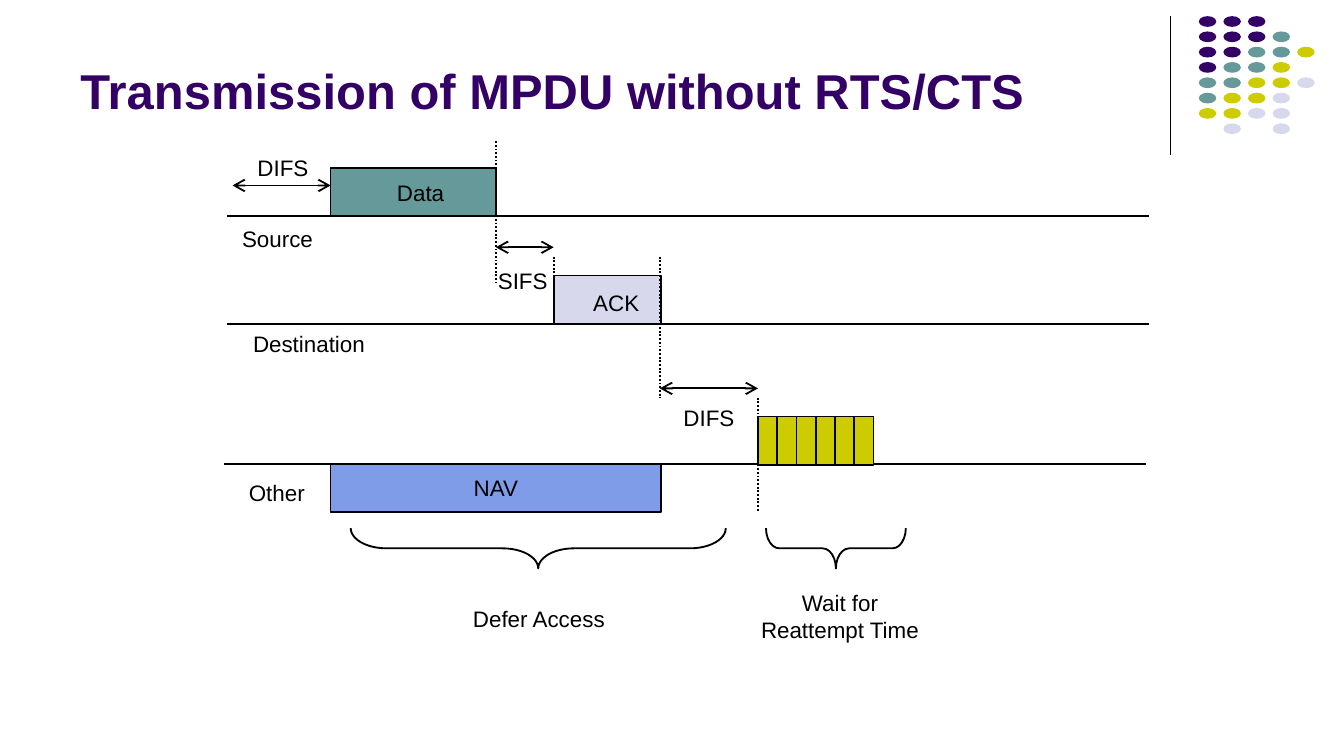
import pptx
import pptx.util
import pptx.dml.color
import pptx.enum.dml
import pptx.enum.shapes
import pptx.enum.text
import pptx.oxml.ns
import lxml.etree

Inches = pptx.util.Inches
SHAPE = pptx.enum.shapes.MSO_SHAPE
ALIGN = pptx.enum.text.PP_ALIGN
ANCHOR = pptx.enum.text.MSO_ANCHOR

SLIDE_W = 10
SLIDE_H = SLIDE_W * 9 / 16
BLACK = "000000"
PURPLE = "330066"
TEAL = "669999"
OLIVE = "CCCC00"
LAVENDER = "D8D8EC"
BLUE = "7E9CE8"
BAR_H = 0.36
AXIS_W = 6.86
DOT_COLORS = {"P": PURPLE, "T": TEAL, "O": OLIVE, "L": LAVENDER}
DOT_ROWS = ["PPP", "PPPT", "PPTTO", "PTTO", "TTOOL", "TOOL", "OOLL", " L L"]


def rgb(value):
    return pptx.dml.color.RGBColor.from_string(value)


def set_all(obj, values):
    for name, value in values.items():
        setattr(obj, name, value)


def add_line(s, x1, y1, x2, y2, width=1, dotted=False, arrows=False):
    line = s.shapes.add_connector(
        pptx.enum.shapes.MSO_CONNECTOR.STRAIGHT,
        Inches(x1), Inches(y1), Inches(x2), Inches(y2))
    line.line.color.rgb = rgb(BLACK)
    line.line.width = pptx.util.Pt(width)
    if dotted:
        line.line.dash_style = pptx.enum.dml.MSO_LINE.ROUND_DOT
    if arrows:
        ln = line.line._get_or_add_ln()
        for end in ("a:headEnd", "a:tailEnd"):
            lxml.etree.SubElement(ln, pptx.oxml.ns.qn(end), type="arrow")
    lxml.etree.SubElement(line._element.spPr, pptx.oxml.ns.qn("a:effectLst"))


def add_shape(s, kind, x, y, w, h, fill=None, outlined=True):
    sp = s.shapes.add_shape(kind, Inches(x), Inches(y), Inches(w), Inches(h))
    sp.shadow.inherit = False
    if fill:
        sp.fill.solid()
        sp.fill.fore_color.rgb = rgb(fill)
    else:
        sp.fill.background()
    if outlined:
        sp.line.color.rgb = rgb(BLACK)
        sp.line.width = pptx.util.Pt(1)
    else:
        sp.line.fill.background()
    return sp


def write(sp, text, size=12, color=BLACK, bold=False, wrap=False,
          anchor=ANCHOR.MIDDLE, align=ALIGN.CENTER):
    tf = sp.text_frame
    set_all(tf, {"word_wrap": wrap, "vertical_anchor": anchor})
    p = tf.paragraphs[0]
    p.alignment = align
    r = p.add_run()
    r.text = text
    set_all(r.font, {"name": "Arial", "size": pptx.util.Pt(size), "bold": bold})
    r.font.color.rgb = rgb(color)


def add_label(s, text, x, y, w, h=0.27, **style):
    sp = s.shapes.add_textbox(Inches(x), Inches(y), Inches(w), Inches(h))
    write(sp, text, **style)


def add_brace(s, x, y, length, depth, curve):
    sp = add_shape(s, SHAPE.LEFT_BRACE, x + (length - depth) / 2,
                   y - (length - depth) / 2, depth, length)
    sp.rotation = 270
    sp.adjustments[0] = curve


def add_title(s, x, y, w, h):
    add_label(s, "Transmission of MPDU without RTS/CTS", x, y, w, h,
              size=26.25, color=PURPLE, bold=True, wrap=True,
              anchor=ANCHOR.BOTTOM, align=ALIGN.LEFT)


def add_ornament(s, x, y):
    add_line(s, x, y, x, y + 1.03, width=0.75)
    for row, codes in enumerate(DOT_ROWS):
        for col, code in enumerate(codes):
            if code in DOT_COLORS:
                add_shape(s, SHAPE.OVAL, x + 0.21 + col * 0.183, y + row * 0.114,
                          0.13, 0.08, DOT_COLORS[code], outlined=False)


def add_source_row(s, x, y):
    add_line(s, x, y, x + AXIS_W, y)
    add_shape(s, SHAPE.RECTANGLE, x + 0.77, y - BAR_H, 1.23, BAR_H, TEAL)
    add_label(s, "Data", x + 1.16, y - 0.31, 0.56)
    add_line(s, x + 0.04, y - 0.23, x + 0.77, y - 0.23, arrows=True)
    add_label(s, "DIFS", x + 0.12, y - 0.5, 0.59)
    add_line(s, x + 2, y - 0.56, x + 2, y + 0.49, dotted=True)
    add_label(s, "Source", x + 0.01, y + 0.03, 0.73)


def add_destination_row(s, x, y):
    add_line(s, x + 2, y - 0.57, x + 2.43, y - 0.57, arrows=True)
    add_label(s, "SIFS", x + 1.91, y - 0.46, 0.58)
    add_line(s, x + 2.43, y - 0.5, x + 2.43, y + 0.02, dotted=True)
    add_line(s, x, y, x + AXIS_W, y)
    add_shape(s, SHAPE.RECTANGLE, x + 2.43, y - BAR_H, 0.8, BAR_H, LAVENDER)
    add_label(s, "ACK", x + 2.57, y - 0.31, 0.65, 0.3)
    add_line(s, x + 3.22, y - 0.5, x + 3.22, y + 0.55, dotted=True)
    add_label(s, "Destination", x + 0.09, y + 0.01, 1.04)


def add_other_row(s, x, y):
    add_line(s, x + 3.24, y - 0.56, x + 3.97, y - 0.56, arrows=True)
    add_label(s, "DIFS", x + 3.31, y - 0.48, 0.59)
    add_line(s, x + 3.97, y - 0.49, x + 3.97, y + 0.36, dotted=True)
    add_line(s, x, y, x + AXIS_W, y)
    slot_w = 0.86 / 6
    for i in range(6):
        add_shape(s, SHAPE.RECTANGLE, x + 3.97 + i * slot_w, y - 0.35,
                  slot_w, BAR_H, OLIVE)
    nav = add_shape(s, SHAPE.RECTANGLE, x + 0.79, y, 2.46, BAR_H, BLUE)
    write(nav, "NAV")
    add_label(s, "Other", x + 0.08, y + 0.08, 0.62)


def add_phases(s, x, y):
    add_brace(s, x, y, 2.79, 0.3, 0.884)
    add_label(s, "Defer Access", x + 0.64, y + 0.54, 1.52, wrap=True)
    add_brace(s, x + 3.09, y, 1.04, 0.3, 0.329)
    add_label(s, "Wait for Reattempt Time", x + 2.88, y + 0.43, 1.52, 0.45, wrap=True)


def main():
    prs = pptx.Presentation()
    set_all(prs, {"slide_width": Inches(SLIDE_W), "slide_height": Inches(SLIDE_H)})
    s = prs.slides.add_slide(prs.slide_layouts[6])
    add_ornament(s, 8.71, 0.12)
    add_source_row(s, 1.69, 1.61)
    add_destination_row(s, 1.69, 2.41)
    add_other_row(s, 1.67, 3.45)
    add_phases(s, 2.61, 3.93)
    add_title(s, 0.5, 0.1, 8.25, 0.84)
    prs.save("out.pptx")


if __name__ == "__main__":
    main()
